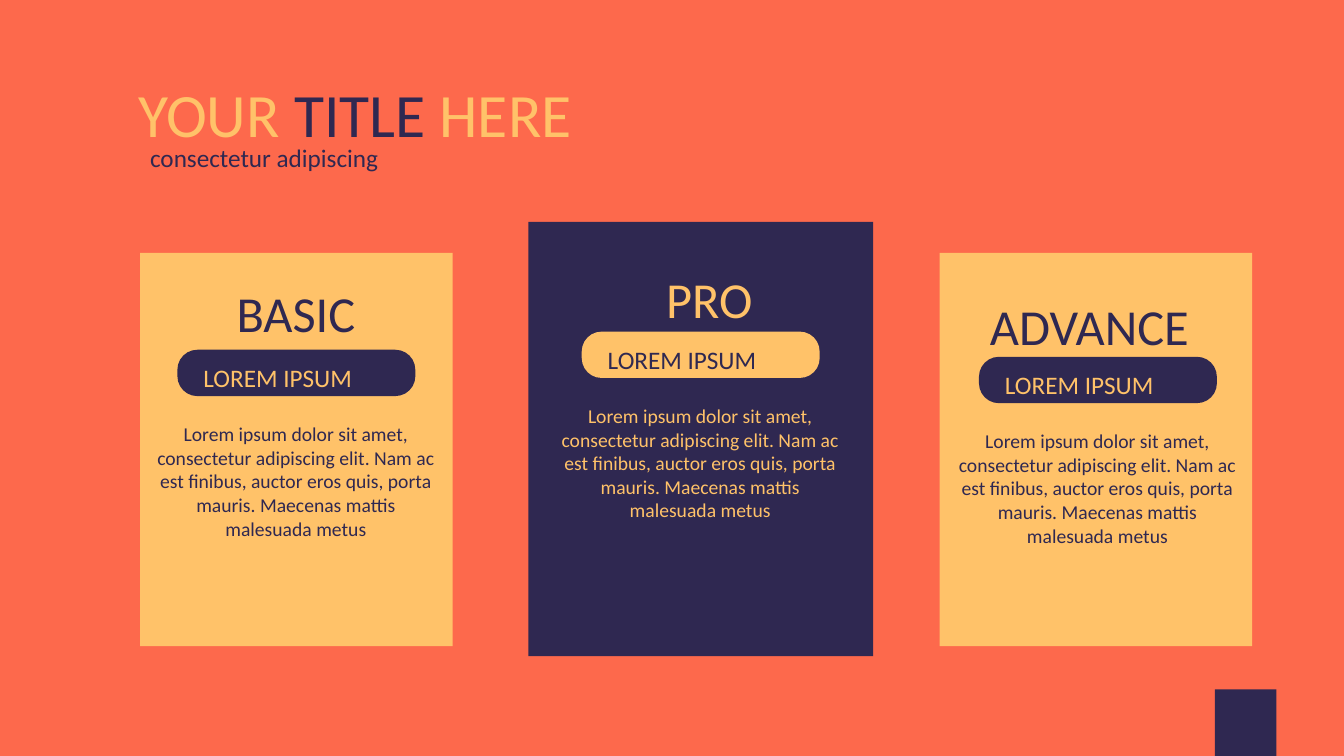
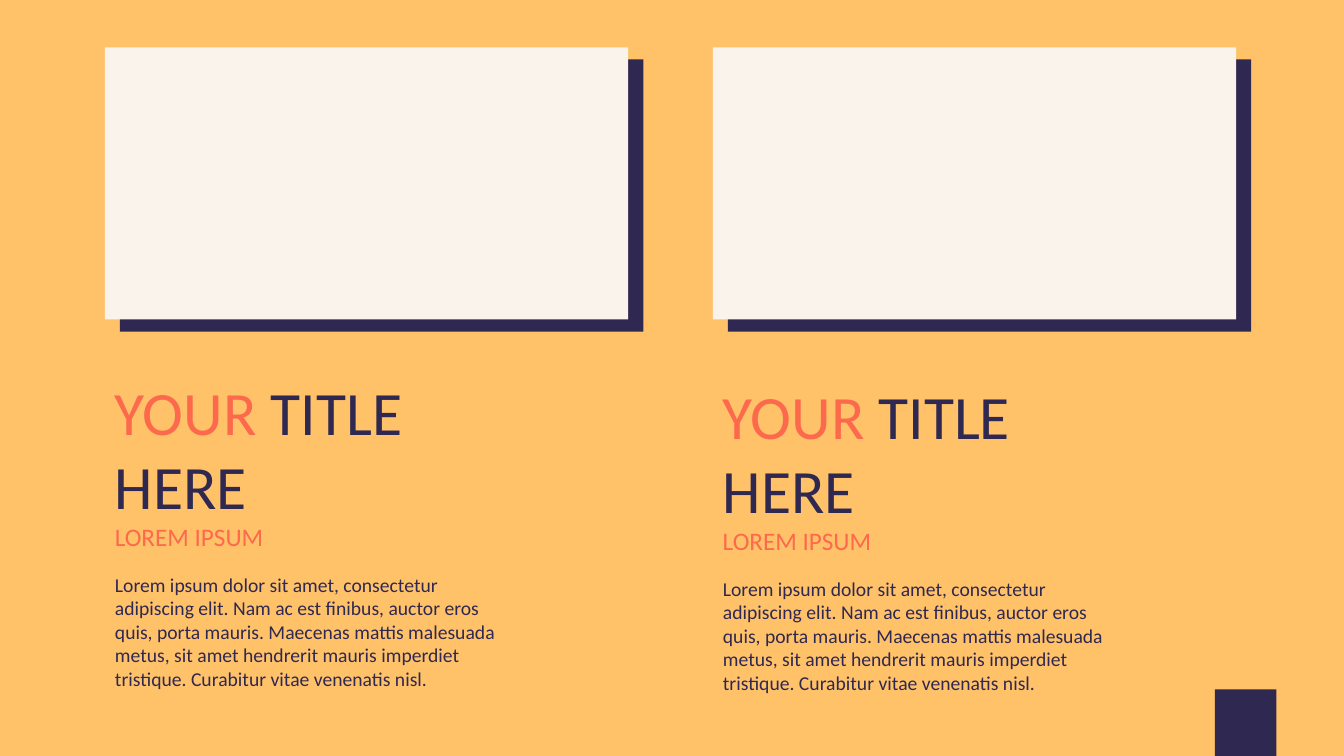
from lxml import etree
from pptx import Presentation
from pptx import util as u
from pptx.dml.color import RGBColor
from pptx.enum import shapes, text
from pptx.oxml.ns import qn

PX = 9144  # EMU in one px, 100 px to the inch
FONT = "Calibri"
CORAL, AMBER, INK, CREAM = "FD694C", "FFC269", "2F2851", "FAF3EB"
TITLE_SIZE, NAME_SIZE, LABEL_SIZE, BODY_SIZE = 44, 36, 18, 14
LEFT, CENTER = text.PP_ALIGN.LEFT, text.PP_ALIGN.CENTER
RECTANGLE = shapes.MSO_SHAPE.RECTANGLE
ROUNDED = shapes.MSO_SHAPE.ROUNDED_RECTANGLE

LABEL = "LOREM IPSUM"
PLAN_TEXT = ("Lorem ipsum dolor sit amet, consectetur adipiscing elit. Nam ac est "
             "finibus, auctor eros quis, porta mauris. Maecenas mattis malesuada metus")
TOPIC_TEXT = PLAN_TEXT + (", sit amet hendrerit mauris imperdiet tristique. "
                          "Curabitur vitae venenatis nisl.")


def rgb(color):
    return RGBColor.from_string(color)


def emu(*lengths):
    return [length * PX for length in lengths]


def start_slide(presentation, layout_index, background):
    slide = presentation.slides.add_slide(presentation.slide_layouts[layout_index])
    slide.background.fill.solid()
    slide.background.fill.fore_color.rgb = rgb(background)
    add_block(slide.shapes, (1205, 684, 61, 66), INK)
    return slide


def add_block(container, box, color, preset=RECTANGLE):
    shape = container.add_shape(preset, *emu(*box))
    shape.shadow.inherit = False
    shape.fill.solid()
    shape.fill.fore_color.rgb = rgb(color)
    shape.line.fill.background()
    return shape


def write(shape, runs, size, align=LEFT):
    """Fill a shape with one paragraph of (text, colour) runs; a line feed breaks the line."""
    frame = shape.text_frame
    frame.word_wrap = True
    frame.auto_size = text.MSO_AUTO_SIZE.NONE
    frame.vertical_anchor = text.MSO_ANCHOR.TOP
    paragraph = frame.paragraphs[0]
    if shape.is_placeholder:
        properties = paragraph._p.get_or_add_pPr()
        properties.set("marL", "0")
        properties.set("indent", "0")
        etree.SubElement(properties, qn("a:buNone"))
        paragraph.space_before = u.Pt(0)
    paragraph.alignment = align
    paragraph.font.name = FONT
    paragraph.font.size = u.Pt(size)
    if len(runs) == 1:
        paragraph.font.color.rgb = rgb(runs[0][1])
    for words, color in runs:
        for number, line in enumerate(words.split("\n")):
            if number:
                paragraph.add_line_break()
            run = paragraph.add_run()
            run.text = line
            if len(runs) > 1:
                run.font.color.rgb = rgb(color)


def add_text(slide, box, runs, size, align=LEFT):
    write(slide.shapes.add_textbox(*emu(*box)), runs, size, align)


def fill_placeholder(placeholder, box, runs, size):
    (placeholder.left, placeholder.top,
     placeholder.width, placeholder.height) = emu(*box)
    write(placeholder, runs, size)


def add_plan_card(slide, box, name, name_box, pill_at, paper, ink):
    """Draw one plan; name_box and pill_at are measured from the card's corner."""
    left, top = box[:2]
    add_block(slide.shapes, box, paper)
    name_left, name_top, name_width = name_box
    add_text(slide, (left + name_left, top + name_top, name_width, 71),
             [(name, ink)], NAME_SIZE, CENTER)

    pill_left, pill_top = left + pill_at[0], top + pill_at[1]
    pill = add_block(slide.shapes, (pill_left, pill_top, 236, 46), ink, ROUNDED)
    pill.adjustments[0] = 0.43
    write(pill, [(LABEL, paper)], LABEL_SIZE)
    frame = pill.text_frame
    # The rounded corner already insets the text by 6 px.
    frame.margin_left, frame.margin_top, frame.margin_bottom = emu(20, 7, 0)

    add_text(slide, (pill_left - 30, pill_top + 67, 295, 128),
             [(PLAN_TEXT, ink)], BODY_SIZE, CENTER)


def build_plans_slide(presentation):
    slide = start_slide(presentation, 5, CORAL)
    fill_placeholder(slide.shapes.title, (127, 70, 623, 84),
                     [("YOUR ", AMBER), ("TITLE", INK), (" HERE", AMBER)], TITLE_SIZE)
    add_text(slide, (139, 136, 310, 40), [("consectetur adipiscing", INK)], LABEL_SIZE)
    plans = [
        ((139, 251, 310, 390), "BASIC", (45, 24, 219), (37, 96), AMBER, INK),
        ((524, 220, 342, 431), "PRO", (29, 41, 301), (53, 109), INK, AMBER),
        ((932, 251, 310, 390), "ADVANCE", (-2, 37, 301), (39, 103), AMBER, INK),
    ]
    for plan in plans:
        add_plan_card(slide, *plan)


def add_topic(slide, left, text_top, heading, body):
    """Draw a framed panel with its heading, label and text below."""
    panel = slide.shapes.add_group_shape()
    add_block(panel.shapes, (left + 15, 59, 519, 270), INK)
    add_block(panel.shapes, (left, 47, 519, 270), CREAM)
    fill_placeholder(heading, (left, text_top, 534, 158),
                     [("YOUR", CORAL), (" TITLE \nHERE", INK)], TITLE_SIZE)
    add_text(slide, (left, text_top + 146, 200, 40), [(LABEL, CORAL)], LABEL_SIZE)
    fill_placeholder(body, (left, text_top + 197, 420, 128),
                     [(TOPIC_TEXT, INK)], BODY_SIZE)


def build_topics_slide(presentation):
    slide = start_slide(presentation, 3, AMBER)
    title, left_body, right_body = slide.placeholders
    right_heading = slide.shapes.add_textbox(*emu(0, 0, 1, 1))
    add_topic(slide, 104, 366, title, left_body)
    add_topic(slide, 707, 370, right_heading, right_body)


def main():
    presentation = Presentation()
    presentation.slide_width, presentation.slide_height = emu(1333, 750)
    build_plans_slide(presentation)
    build_topics_slide(presentation)
    presentation.save("out.pptx")


if __name__ == "__main__":
    main()
